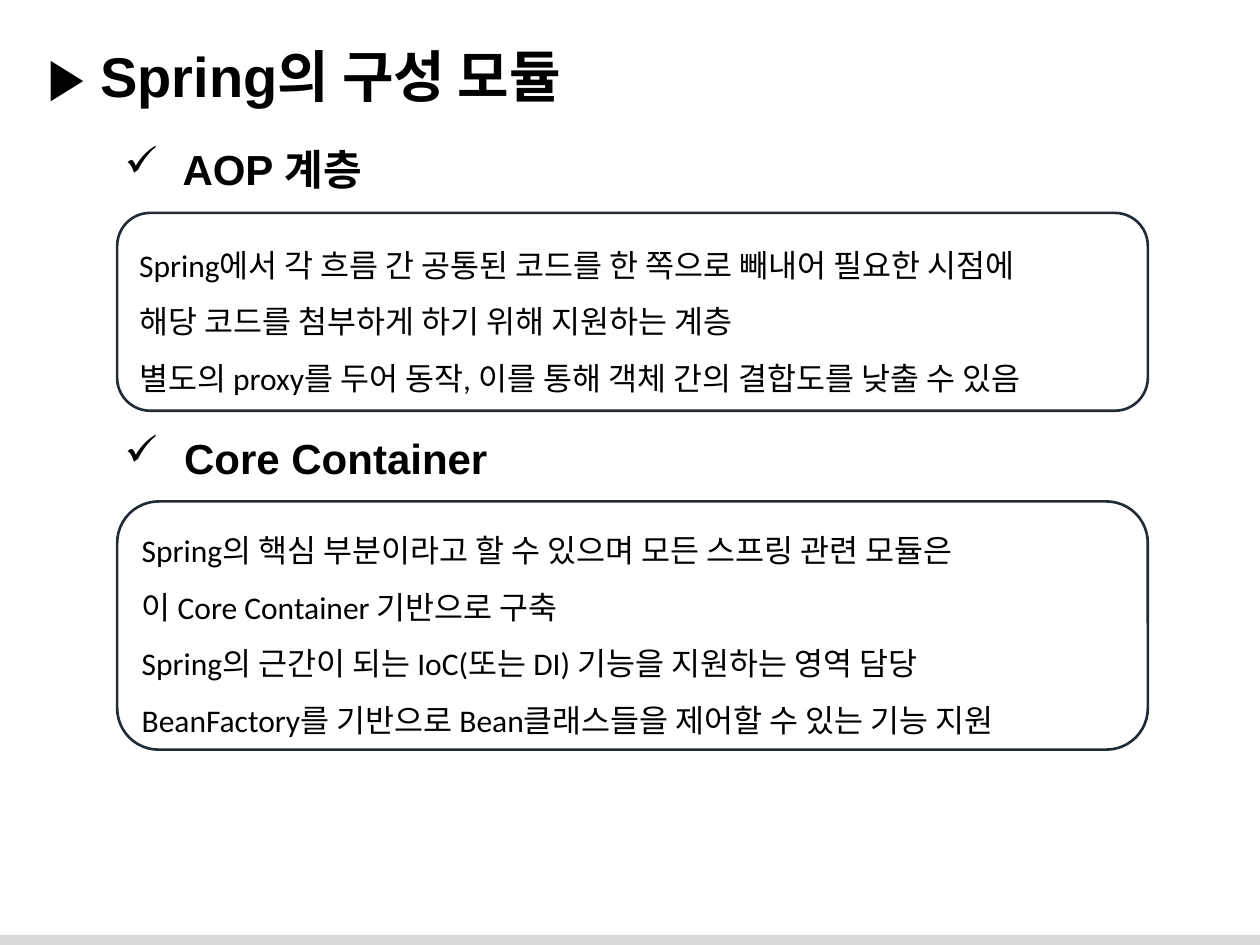
from dataclasses import dataclass

from lxml.etree import SubElement
from pptx import Presentation
from pptx.dml.color import RGBColor
from pptx.enum.shapes import MSO_SHAPE
from pptx.enum.text import MSO_ANCHOR, PP_ALIGN
from pptx.oxml.ns import qn
from pptx.util import Inches, Pt


@dataclass(frozen=True)
class Theme:
    """Colours, fonts and type sizes of the slide."""
    ink: RGBColor = RGBColor(0, 0, 0)
    edge: RGBColor = RGBColor(0x22, 0x2A, 0x35)
    band: RGBColor = RGBColor(0xD9, 0xD9, 0xD9)
    head: str = "Arial"
    body: str = "Calibri"
    title: int = 32
    topic: int = 24
    note: int = 18


THEME = Theme()

TOPICS = [
    (1.09, 1.57, "AOP 계층", [
        "Spring에서 각 흐름 간 공통된 코드를 한 쪽으로 빼내어 필요한 시점에",
        "해당 코드를 첨부하게 하기 위해 지원하는 계층",
        "별도의 proxy를 두어 동작, 이를 통해 객체 간의 결합도를 낮출 수 있음",
    ]),
    (3.38, 1.97, "Core Container", [
        "Spring의 핵심 부분이라고 할 수 있으며 모든 스프링 관련 모듈은",
        "이 Core Container 기반으로 구축",
        "Spring의 근간이 되는 IoC(또는 DI) 기능을 지원하는 영역 담당",
        "BeanFactory를 기반으로 Bean클래스들을 제어할 수 있는 기능 지원",
    ]),
]


def style(para, face, size, bold=False):
    """Set the font of a paragraph."""
    font = para.font
    font.name, font.size, font.bold = face, Pt(size), bold
    font.color.rgb = THEME.ink


def add_footer(slide, left, top, width, height):
    """Draw the band along the foot of the slide."""
    band = slide.shapes.add_shape(
        MSO_SHAPE.RECTANGLE, Inches(left), Inches(top), Inches(width), Inches(height))
    band.shadow.inherit = False
    band.fill.solid()
    band.fill.fore_color.rgb = THEME.band
    band.line.fill.background()


def add_head(slide, left, top, width, height, text, size, wrap=True):
    """Place a bold heading and return its paragraph."""
    box = slide.shapes.add_textbox(
        Inches(left), Inches(top), Inches(width), Inches(height))
    box.text_frame.word_wrap = wrap
    para = box.text_frame.paragraphs[0]
    para.text = text
    style(para, THEME.head, size, True)
    return para


def add_check(para):
    """Give a paragraph a hanging check mark."""
    props = para._p.get_or_add_pPr()
    indent = Inches(0.38)
    props.set("marL", str(indent))
    props.set("indent", str(-indent))
    mark = SubElement(props, qn("a:buChar"))
    mark.set("char", "✓")
    props.insert(0, mark)


def add_panel(slide, left, top, width, height, lines):
    """Draw a rounded outline that holds the lines of text."""
    panel = slide.shapes.add_shape(
        MSO_SHAPE.ROUNDED_RECTANGLE,
        Inches(left), Inches(top), Inches(width), Inches(height))
    panel.shadow.inherit = False
    panel.fill.background()
    panel.line.color.rgb = THEME.edge
    panel.line.width = Pt(1.5)
    frame = panel.text_frame
    frame.word_wrap = True
    frame.vertical_anchor = MSO_ANCHOR.MIDDLE
    frame.margin_left = frame.margin_right = Inches(0.1)
    frame.margin_top = frame.margin_bottom = Inches(0.1)
    frame.text = "\n".join(lines)
    for para in frame.paragraphs:
        para.alignment = PP_ALIGN.LEFT
        para.line_spacing = 1.5
        style(para, THEME.body, THEME.note)


def add_topic(slide, left, top, width, height, name, lines):
    """Place a checked heading with its panel below."""
    para = add_head(slide, left, top, 3.12, 0.5, " " + name, THEME.topic, False)
    add_check(para)
    add_panel(slide, left + 0.04, top + 0.6, width, height, lines)


def main():
    """Build the slide and save it."""
    deck = Presentation()
    deck.slide_width, deck.slide_height = Inches(10), Inches(7.5)
    slide = deck.slides.add_slide(deck.slide_layouts[6])
    add_footer(slide, -0.02, 7.42, 10.04, 0.11)
    add_head(slide, 0.28, 0.28, 9.45, 0.64, "▶ Spring의 구성 모듈", THEME.title)
    for top, height, name, lines in TOPICS:
        add_topic(slide, 0.89, top, 8.18, height, name, lines)
    deck.save("out.pptx")


if __name__ == "__main__":
    main()
